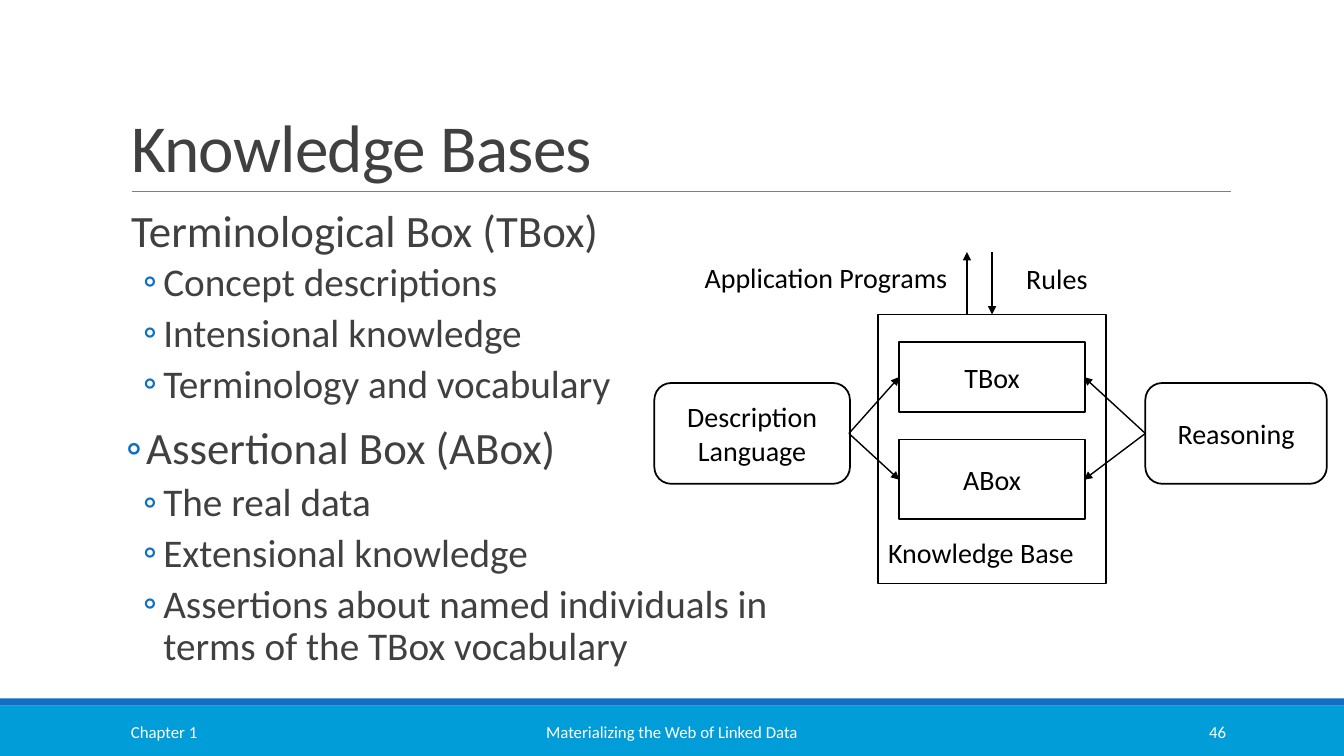
from lxml.etree import SubElement as Sub
from pptx import Presentation
from pptx.dml.color import RGBColor as RGB
from pptx.enum.shapes import MSO_CONNECTOR as Conn, MSO_SHAPE as Kind
from pptx.enum.text import MSO_ANCHOR as Anchor, MSO_AUTO_SIZE as Auto, PP_ALIGN as Align
from pptx.oxml.ns import qn
from pptx.util import Emu, Pt

PX = 9144  # 100 px to the inch
FONT = "Calibri"
COLORS = {
    "text": "404040", "ink": "000000", "white": "FFFFFF",
    "bar": "009DD9", "strip": "0F6FC6", "rule": "808080",
}

# Text, level, left margin, hanging indent, size, space before, space after, bullet
ITEMS = [
    ("Terminological Box (TBox)", 0, 10, 10, 32, 12, 2, " "),
    *[(text, 1, 42, 20, 28, 2, 4, "◦") for text in (
        "Concept descriptions", "Intensional knowledge", "Terminology and vocabulary")],
    ("Assertional Box (ABox)", 1, 25, 20, 32, 10, 4, "◦"),
    *[(text, 1, 42, 20, 28, 2, 4, "◦") for text in (
        "The real data", "Extensional knowledge",
        "Assertions about named individuals in terms of the TBox vocabulary")],
]


def px(*nums):
    return [Emu(num * PX) for num in nums]


def hue(name):
    return RGB.from_string(COLORS[name])


def write(para, text, size=20, color="ink", align=Align.LEFT, track=None):
    run = para.add_run()
    run.text = text
    run.font.name, run.font.size = FONT, Pt(size)
    run.font.color.rgb = hue(color)
    para.alignment = align
    if track is not None:
        run._r.get_or_add_rPr().set("spc", str(track))


def fill(frame, text, anchor=Anchor.MIDDLE, **form):
    frame.word_wrap = True
    frame.auto_size = Auto.NONE
    frame.vertical_anchor = anchor
    for num, line in enumerate(text.split("\n")):
        para = frame.add_paragraph() if num else frame.paragraphs[0]
        write(para, line, **form)


def label(slide, area, text, **form):
    fill(slide.shapes.add_textbox(*px(*area)).text_frame, text, **form)


def box(slide, area, text="", kind=Kind.RECTANGLE, paint=None):
    shape = slide.shapes.add_shape(kind, *px(*area))
    shape.shadow.inherit = False
    if paint:
        shape.fill.solid()
        shape.fill.fore_color.rgb = hue(paint)
        shape.line.fill.background()
    else:
        shape.fill.background()
        shape.line.color.rgb = hue("ink")
        shape.line.width = Pt(1.25)
    if text:
        fill(shape.text_frame, text, align=Align.CENTER)


def line(slide, ends, color="ink", width=1, arrow=True):
    link = slide.shapes.add_connector(Conn.STRAIGHT, *px(*ends))
    link.line.color.rgb = hue(color)
    link.line.width = Pt(width)
    if arrow:
        Sub(link.line._get_or_add_ln(), qn("a:tailEnd"), type="triangle")
    Sub(link._element.spPr, qn("a:effectLst"))


def place(shape, area):
    shape.left, shape.top, shape.width, shape.height = px(*area)


def bullet(para, mark, left, hang):
    props = para._p.get_or_add_pPr()
    props.set("marL", str(left * PX))
    props.set("indent", str(-hang * PX))
    Sub(Sub(props, qn("a:buClr")), qn("a:srgbClr"), val=COLORS["strip"])
    Sub(props, qn("a:buFont"), typeface=FONT)
    Sub(props, qn("a:buChar"), char=mark)


def outline(body):
    place(body, (120, 202, 667, 476))
    frame = body.text_frame
    frame.word_wrap = True
    frame.auto_size = Auto.NONE
    frame.margin_left, frame.margin_top, frame.margin_right, frame.margin_bottom = px(0, 5, 0, 5)
    for num, (text, level, left, hang, size, before, after, mark) in enumerate(ITEMS):
        para = frame.add_paragraph() if num else frame.paragraphs[0]
        para.level = level
        write(para, text, size=size, color="text")
        para.line_spacing = 0.9
        para.space_before, para.space_after = Pt(before), Pt(after)
        bullet(para, mark, left, hang)


def diagram(slide):
    # Boxes
    box(slide, (892, 339, 184, 70), "TBox")
    box(slide, (892, 436, 184, 79), "ABox")
    box(slide, (649, 380, 194, 100), "Description\nLanguage", Kind.ROUNDED_RECTANGLE)
    box(slide, (1136, 380, 180, 100), "Reasoning", Kind.ROUNDED_RECTANGLE)
    box(slide, (871, 312, 226, 267))
    # Arrows from both sides to each inner box
    for start, end in ((842, 892), (1136, 1075)):
        for mid in (374, 476):
            line(slide, (start, 430, end, mid))
    # Arrows above the knowledge base
    line(slide, (959, 312, 959, 250))
    line(slide, (984, 250, 984, 312))
    # Labels
    for area, text in (
        ((871, 526, 226, 44), "Knowledge Base"),
        ((689, 254, 293, 44), "Application Programs"),
        ((1008, 255, 155, 44), "Rules"),
    ):
        label(slide, area, text, anchor=Anchor.TOP)


def main():
    deck = Presentation()
    deck.slide_width, deck.slide_height = px(1333, 750)
    slide = deck.slides.add_slide(deck.slide_layouts[1])
    # Bars and rule
    box(slide, (0, 700, 1333, 50), paint="bar")
    box(slide, (0, 693, 1333, 7), paint="strip")
    line(slide, (131, 190, 1221, 190), color="rule", width=0.5, arrow=False)
    # Title and list
    title = slide.shapes.title
    place(title, (120, 31, 1100, 159))
    fill(title.text_frame, "Knowledge Bases", anchor=Anchor.BOTTOM,
         size=48, color="text", track=-50)
    title.text_frame.paragraphs[0].line_spacing = 0.85
    outline(slide.placeholders[1])
    # Footer
    for left, width, text, align in (
        (120, 270, "Chapter 1", Align.LEFT),
        (403, 527, "Materializing the Web of Linked Data", Align.CENTER),
        (1083, 143, "46", Align.RIGHT),
    ):
        label(slide, (left, 706, width, 40), text, size=12, color="white", align=align)
    diagram(slide)
    deck.save("out.pptx")


if __name__ == "__main__":
    main()
